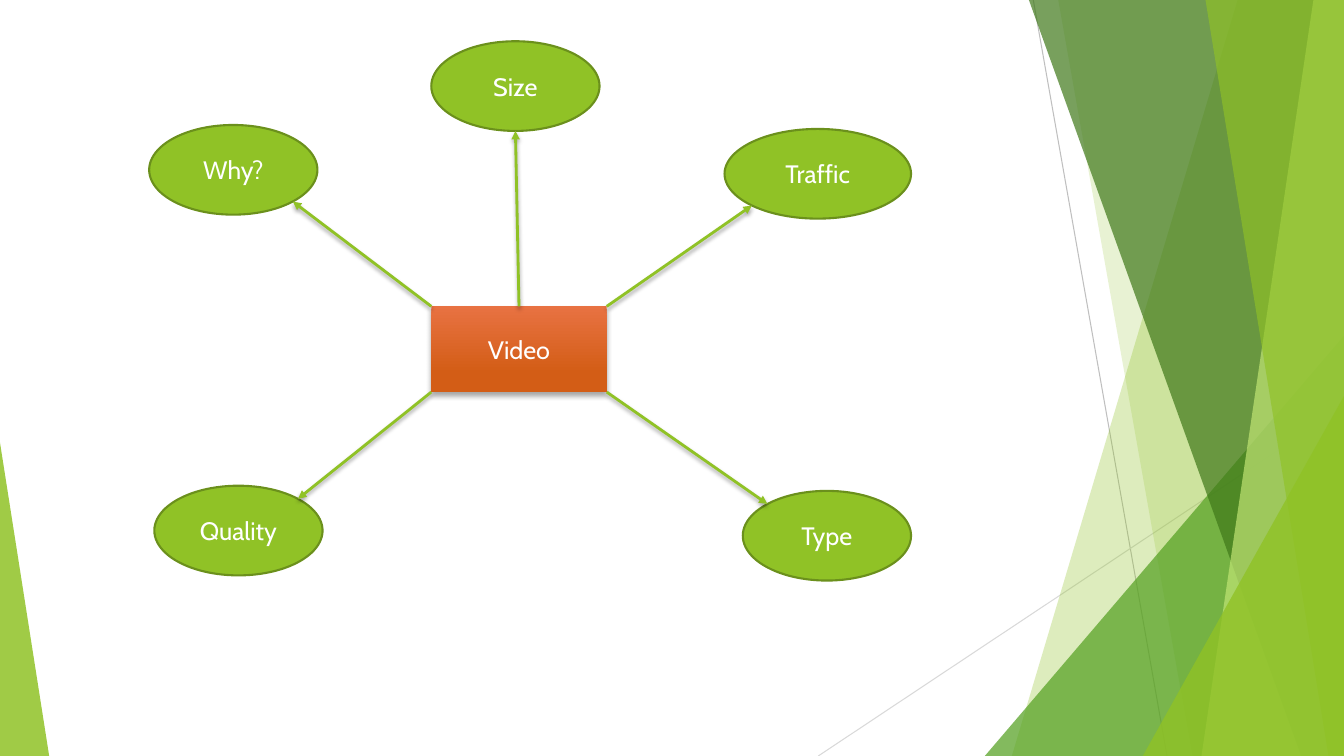
"""Build a mind-map slide about video over a faceted green backdrop."""
from dataclasses import dataclass
from math import sqrt

from lxml.etree import SubElement
from pptx import Presentation
from pptx.dml.color import RGBColor
from pptx.enum.shapes import MSO_CONNECTOR as Link, MSO_SHAPE as Preset
from pptx.enum.text import MSO_ANCHOR as Anchor, PP_ALIGN as Align
from pptx.oxml.ns import qn
from pptx.util import Cm, Pt


@dataclass(frozen=True)
class Theme:
    font: str = "Cabin"
    size: float = 18
    text: str = "FFFFFF"
    green: str = "90C226"
    leaf: str = "54A021"
    forest: str = "3F7819"
    lime: str = "C0E474"
    outline: str = "6B901C"
    hub_top: str = "E87242"
    hub_bottom: str = "D35D16"
    shadow: str = "000000"
    ray_dark: str = "BFBFBF"
    ray_light: str = "D9D9D9"


THEME = Theme()
WIDTH, HEIGHT = 33.87, 19.05

RAYS = [
    ((26.04, 0), (29.41, HEIGHT), THEME.ray_dark),
    ((WIDTH, 10.24), (20.62, HEIGHT), THEME.ray_light),
]
BACKDROP = [
    ("facet", (31.19, 25.5), THEME.green, 30),
    ("facet", (26.67, 30.05), THEME.green, 20),
    ("right corner", (24.82, 8.46), THEME.leaf, 72),
    ("facet", (25.93, 32.79), THEME.forest, 70),
    ("facet", (33.1, 30.28), THEME.lime, 70),
    ("facet", (30.38, 33.48), THEME.green, 65),
    ("right corner", (28.8, 9.98), THEME.green, 80),
    ("left corner", (1.24, 11.15), THEME.green, 85),
]
HUB = ("Video", 10.87, 7.72, 4.42, 2.16)
TOPIC_HEIGHT = 2.26
TOPICS = [
    ("Why?", 3.76, 3.15, 4.24, (-1, -1)),
    ("Size", 10.87, 1.04, 4.24, (0, -1)),
    ("Traffic", 18.26, 3.25, 4.7, (1, -1)),
    ("Quality", 3.89, 12.24, 4.24, (-1, 1)),
    ("Type", 18.72, 12.37, 4.24, (1, 1)),
]


def color(code):
    return RGBColor.from_string(code)


def paint(shape, code, opacity=100):
    shape.shadow.inherit = False
    shape.fill.solid()
    shape.fill.fore_color.rgb = color(code)
    if opacity < 100:
        tint = shape.element.spPr.find(qn("a:solidFill"))[0]
        SubElement(tint, qn("a:alpha"), val=str(opacity * 1000))
    shape.line.fill.background()


def cast_shadow(effects, blur, distance):
    shadow = SubElement(effects, qn("a:outerShdw"), blurRad=str(Pt(blur)),
                        dist=str(Pt(distance)), dir="5400000", rotWithShape="0")
    tone = SubElement(shadow, qn("a:srgbClr"), val=THEME.shadow)
    SubElement(tone, qn("a:alpha"), val="35000")


def add_line(shapes, start, end, code, width):
    line = shapes.add_connector(Link.STRAIGHT, *(Cm(v) for v in (*start, *end)))
    line.line.color.rgb = color(code)
    line.line.width = Pt(width)
    effects = SubElement(line.element.spPr, qn("a:effectLst"))
    return line, effects


def add_facet(shapes, edge):
    top, bottom = edge
    corners = [(WIDTH, 0), (WIDTH, HEIGHT), (bottom, HEIGHT)]
    outline = shapes.build_freeform(Cm(top), 0)
    outline.add_line_segments([(Cm(x), Cm(y)) for x, y in corners], close=True)
    return outline.convert_to_shape()


def add_corner(shapes, side, reach):
    x, top = reach
    left, right, apex = (x, WIDTH, 1) if side == "right corner" else (0, x, 0)
    corner = shapes.add_shape(Preset.ISOSCELES_TRIANGLE, Cm(left), Cm(top),
                              Cm(right - left), Cm(HEIGHT - top))
    corner.adjustments[0] = apex
    return corner


def add_label(shape, words):
    frame = shape.text_frame
    frame.word_wrap = True
    frame.vertical_anchor = Anchor.MIDDLE
    paragraph = frame.paragraphs[0]
    paragraph.alignment = Align.CENTER
    run = paragraph.add_run()
    run.text = words
    run.font.name = THEME.font
    run.font.size = Pt(THEME.size)
    run.font.color.rgb = color(THEME.text)


def add_backdrop(shapes):
    for start, end, code in RAYS:
        add_line(shapes, start, end, code, 0.75)
    for part, edge, code, opacity in BACKDROP:
        if part == "facet":
            panel = add_facet(shapes, edge)
        else:
            panel = add_corner(shapes, part, edge)
        paint(panel, code, opacity)


def add_hub(shapes):
    words, *box = HUB
    hub = shapes.add_shape(Preset.RECTANGLE, *(Cm(v) for v in box))
    paint(hub, THEME.hub_top)
    hub.fill.gradient()
    hub.fill.gradient_angle = 270
    shades = [(0, THEME.hub_top), (0.78, THEME.hub_bottom)]
    for stop, (position, code) in zip(hub.fill.gradient_stops, shades):
        stop.position = position
        stop.color.rgb = color(code)
    cast_shadow(hub.element.spPr.find(qn("a:effectLst")), 4, 3)
    add_label(hub, words)
    return hub


def add_topic(shapes, words, left, top, width):
    topic = shapes.add_shape(Preset.OVAL, Cm(left), Cm(top), Cm(width), Cm(TOPIC_HEIGHT))
    paint(topic, THEME.green)
    topic.line.color.rgb = color(THEME.outline)
    topic.line.width = Pt(1.5)
    add_label(topic, words)


def add_arrow(shapes, hub, left, top, width, direction):
    across, down = direction
    _, hub_left, hub_top, hub_width, hub_height = HUB
    start = (hub_left + hub_width * (1 + across) / 2,
             hub_top + hub_height * (1 + down) / 2)
    reach = sqrt(across ** 2 + down ** 2)
    end = (left + width / 2 * (1 - across / reach),
           top + TOPIC_HEIGHT / 2 * (1 - down / reach))
    arrow, effects = add_line(shapes, start, end, THEME.green, 2)
    SubElement(arrow.element.spPr.find(qn("a:ln")), qn("a:tailEnd"), type="triangle")
    cast_shadow(effects, 3, 2)
    if across == 0:
        arrow.begin_connect(hub, 0)


def main():
    deck = Presentation()
    deck.slide_width, deck.slide_height = Cm(WIDTH), Cm(HEIGHT)
    shapes = deck.slides.add_slide(deck.slide_layouts[6]).shapes
    add_backdrop(shapes)
    hub = add_hub(shapes)
    for words, left, top, width, _ in TOPICS:
        add_topic(shapes, words, left, top, width)
    for _, left, top, width, direction in TOPICS:
        add_arrow(shapes, hub, left, top, width, direction)
    deck.save("out.pptx")


if __name__ == "__main__":
    main()
